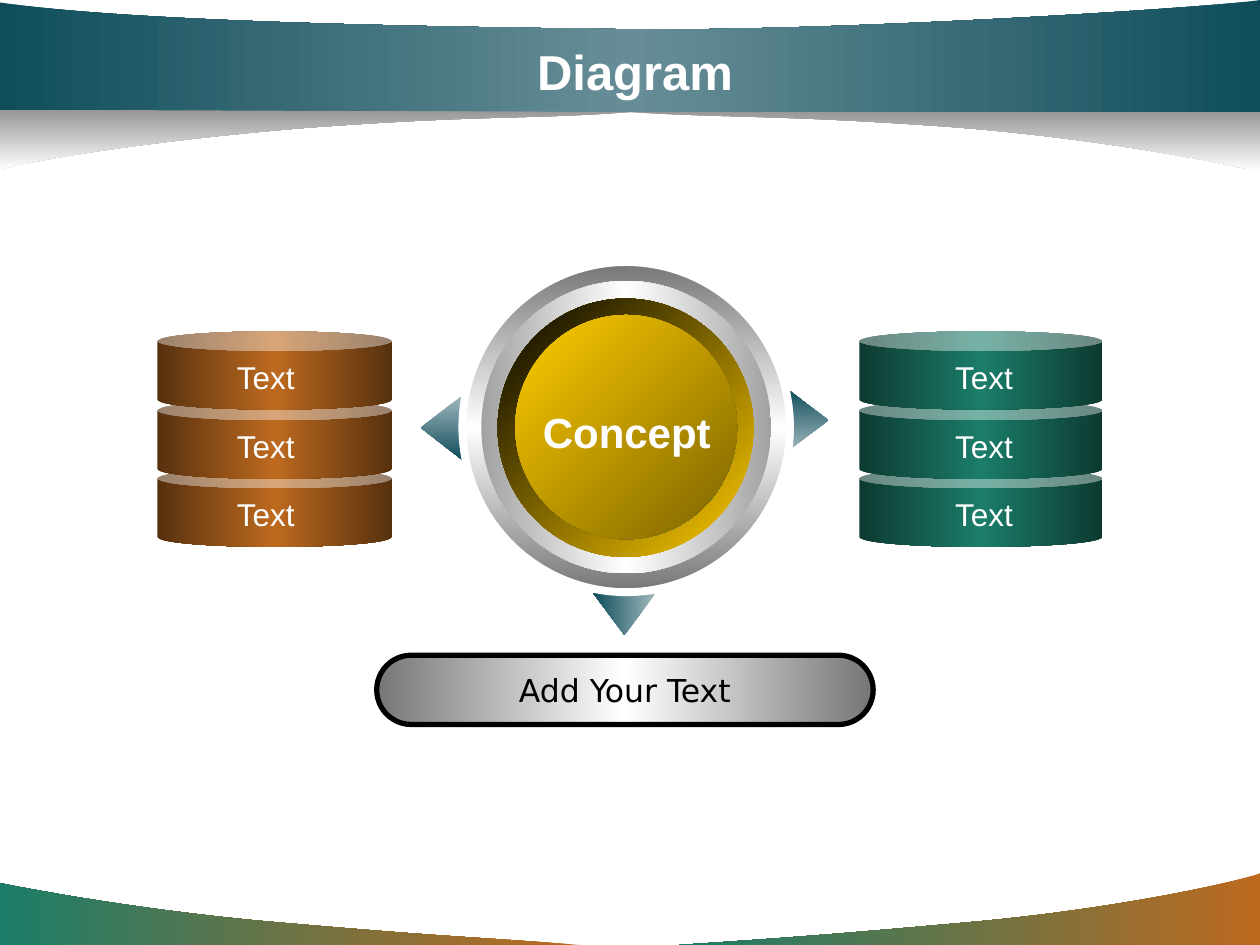
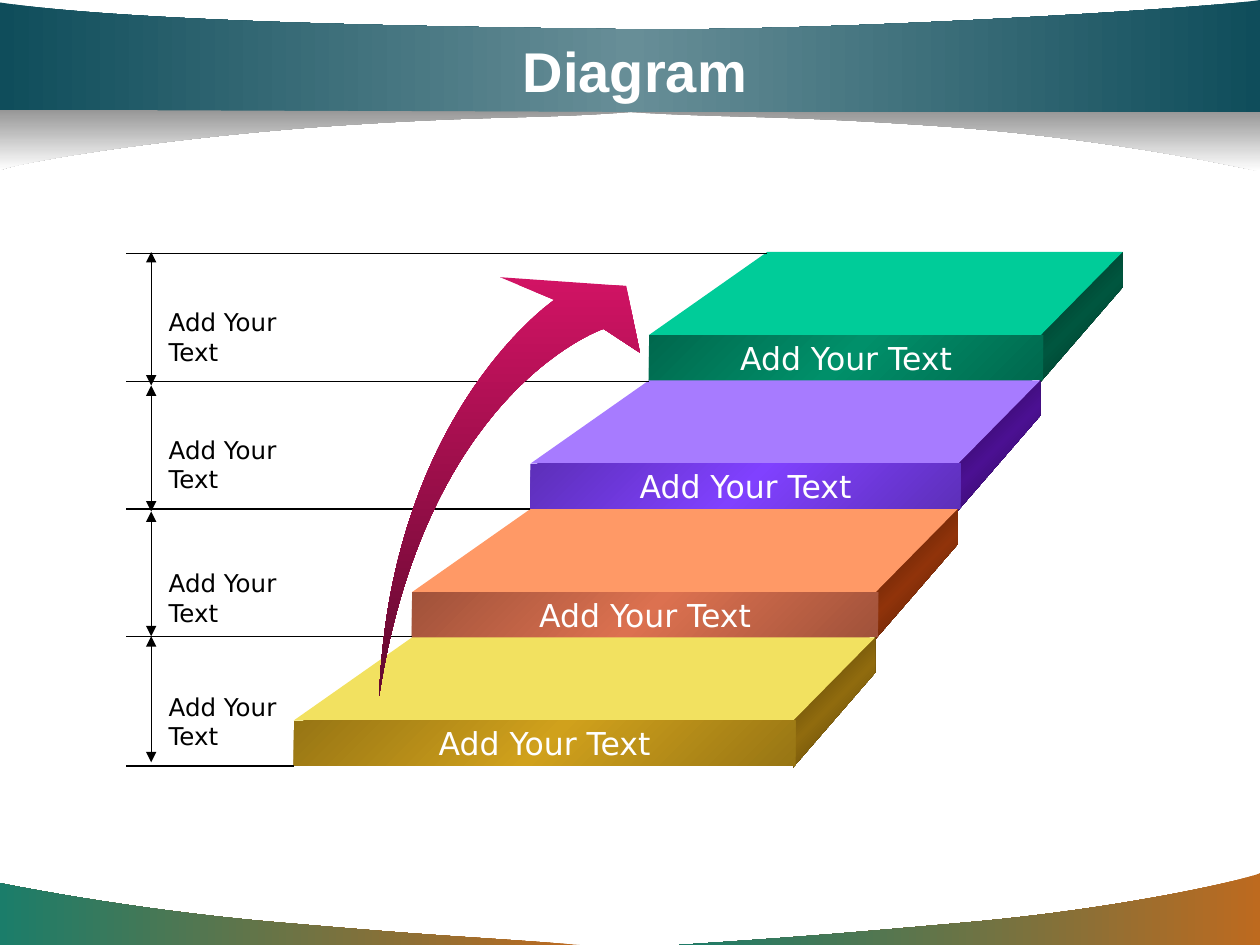
import copy
import itertools

import pptx
import pptx.dml.color
import pptx.enum.shapes
import pptx.enum.text
import pptx.oxml.ns
import pptx.util
from lxml import etree

Inches = pptx.util.Inches
qn = pptx.oxml.ns.qn
SHAPES = pptx.enum.shapes.MSO_SHAPE
ALIGN = pptx.enum.text.PP_ALIGN
ANCHOR = pptx.enum.text.MSO_ANCHOR

WHITE, BLACK = "FFFFFF", "000000"
HEADING_FONT, BODY_FONT = "Arial", "DejaVu Sans"
FOOTER = ("BD6A1F", "1B7D6A")
BAND = ("0F4D5B", "678E97", "0F4D5B")
BAND_SHADOW = ("969696", WHITE)
SILVER = ("767676", WHITE, "767676")
POINTER = ("A1B9BF", "0F4D5B")


def colour(value):
    return pptx.dml.color.RGBColor.from_string(value)


def paint(shape, colours, angle=0, outline=None, outline_width=0):
    shape.shadow.inherit = False
    if len(colours) == 1:
        shape.fill.solid()
        shape.fill.fore_color.rgb = colour(colours[0])
    else:
        shape.fill.gradient()
        shape.fill.gradient_angle = (360 - angle) % 360
        properties = shape._element.spPr
        properties.find(qn("a:gradFill")).set("rotWithShape", "0")
        stops = properties.find(".//" + qn("a:gsLst"))
        for _ in colours[2:]:
            stops.append(copy.deepcopy(stops[-1]))
        for index, stop in enumerate(shape.fill.gradient_stops):
            stop.color.rgb = colour(colours[index])
            stop.position = index / (len(colours) - 1)
    if outline:
        shape.line.color.rgb = colour(outline)
        shape.line.width = pptx.util.Pt(outline_width)
    else:
        shape.line.fill.background()


def add_preset(page, kind, place, colours, angle=0, adjustments=(), **outline):
    shape = page.shapes.add_shape(kind, *map(Inches, place))
    for index, value in enumerate(adjustments):
        shape.adjustments[index] = value
    paint(shape, colours, angle, **outline)
    return shape


def add_outline(page, start, segments, colours, angle=0):
    points = [(Inches(x), Inches(y)) for segment in segments for x, y in segment]
    builder = page.shapes.build_freeform(*map(Inches, start), scale=1.0)
    builder.add_line_segments(points, close=True)
    shape = builder.convert_to_shape()
    lines = iter(shape._element.findall(".//" + qn("a:lnTo")))
    for segment in segments:
        group = list(itertools.islice(lines, len(segment)))
        if len(segment) == 3:
            bend = etree.Element(qn("a:cubicBezTo"))
            group[0].addprevious(bend)
            for line in group:
                bend.append(line[0])
                line.getparent().remove(line)
    paint(shape, colours, angle)


def corners(*points):
    return [(point,) for point in points]


def write(shape, text, size, font=HEADING_FONT, ink=WHITE, bold=False,
          align=ALIGN.CENTER, anchor=ANCHOR.MIDDLE, wrap=False):
    frame = shape.text_frame
    frame.word_wrap = wrap
    frame.vertical_anchor = anchor
    para = frame.paragraphs[0]
    para.alignment = align
    span = para.add_run()
    span.text = text
    span.font.size = pptx.util.Pt(size)
    span.font.name = font
    span.font.bold = bold
    span.font.color.rgb = colour(ink)


def add_text(page, place, text, size, **style):
    box = page.shapes.add_textbox(*map(Inches, place))
    write(box, text, size, **style)


def add_line(page, start, end, arrows=False):
    line = page.shapes.add_connector(
        pptx.enum.shapes.MSO_CONNECTOR.STRAIGHT, *map(Inches, start + end))
    line.line.color.rgb = colour(BLACK)
    line.line.width = pptx.util.Pt(0.75)
    properties = line._element.spPr
    if arrows:
        for tag in ("a:headEnd", "a:tailEnd"):
            etree.SubElement(properties.find(qn("a:ln")), qn(tag), type="triangle")
    etree.SubElement(properties, qn("a:effectLst"))


def add_page(deck, title, title_size):
    page = deck.slides.add_slide(deck.slide_layouts[6])
    left_wave = [((3.84, 7.44), (3.58, 7.44), (2.32, 7.33)),
                 ((1.06, 7.23), (0.01, 7.01), (0, 7.01)), *corners((0, 7.5))]
    right_wave = [((6.14, 7.45), (6.46, 7.43), (7.69, 7.32)),
                  ((8.92, 7.21), (9.9, 6.98), (10, 6.93)), *corners((10, 7.5))]
    right_shadow = [((5.84, 0.94), (6.2, 0.91), (7.58, 1.01)),
                    ((8.97, 1.12), (9.98, 1.36), (10, 1.36)), *corners((10, 0.88))]
    band = [*corners((10, 0.89), (10, 0)), ((9.64, 0.06), (6.53, 0.26), (4.87, 0.23)),
            ((3.21, 0.21), (1.01, 0.17), (0, 0.02))]
    left_shadow = [((4.16, 0.95), (3.88, 0.91), (2.49, 1.01)),
                   ((1.1, 1.12), (0.11, 1.3), (0, 1.35)), *corners((0, 0.87))]
    add_outline(page, (4.6, 7.5), left_wave, FOOTER, 180)
    add_outline(page, (5.39, 7.5), right_wave, FOOTER, 180)
    add_outline(page, (5, 0.89), right_shadow, BAND_SHADOW, 90)
    add_outline(page, (0, 0.89), band, BAND, 180)
    add_outline(page, (5, 0.89), left_shadow, BAND_SHADOW, 90)
    add_text(page, (0.75, 0.25, 8.58, 0.62), title, title_size, bold=True, wrap=True)
    return page


def add_pointer(page, place, rotation, angle):
    pointer = add_preset(page, SHAPES.UP_ARROW, place, POINTER, angle, (0.517, 1))
    pointer.rotation = rotation
    pointer._element.spPr.find(qn("a:xfrm")).set("flipH", "1")


def add_can_stack(page, left, width, text_left, colours):
    tops = (2.63, 3.18, 3.72)
    for top in reversed(tops):
        add_preset(page, SHAPES.CAN, (left, top, width, 0.62), colours, 180, (0.25,))
    for top in tops:
        add_text(page, (text_left, top + 0.16, 0.68, 0.4), "Text", 18, anchor=ANCHOR.TOP)


def add_concept_page(deck):
    page = add_page(deck, "Diagram", 28)
    add_pointer(page, (3.25, 3.23, 0.51, 0.33), 270, 90)
    add_pointer(page, (6.16, 3.17, 0.5, 0.33), 90, 270)
    add_pointer(page, (4.71, 4.71, 0.49, 0.33), 180, 0)
    add_preset(page, SHAPES.OVAL, (3.67, 2.08, 2.6, 2.62), SILVER, 90,
               outline=WHITE, outline_width=4.5)
    rim, core = (3.95, 2.37, 2.03, 2.05), (4.09, 2.5, 1.76, 1.78)
    rings = [
        ((3.82, 2.23, 2.3, 2.32), ("A2A2A2", WHITE, "A2A2A2"), 180),
        (rim, (WHITE, "3790D3", WHITE), 225),
        (rim, ("FFCC00", BLACK), 225),
        (core, ("1E4E72", "3790D3", "1E4E72"), 135),
        (core, ("7C6300", "FFCC00"), 225),
    ]
    for place, colours, angle in rings:
        add_preset(page, SHAPES.OVAL, place, colours, angle)
    add_can_stack(page, 1.25, 1.86, 1.77, ("57310E", "BD6A1F", "57310E"))
    add_can_stack(page, 6.82, 1.93, 7.47, ("0D3A31", "1B7D6A", "0D3A31"))
    add_text(page, (4.21, 3.18, 1.53, 0.5), "Concept", 24, bold=True, anchor=ANCHOR.TOP)
    pill = add_preset(page, SHAPES.ROUNDED_RECTANGLE, (2.99, 5.2, 3.94, 0.55), SILVER,
                      180, (0.5,), outline=BLACK, outline_width=3)
    write(pill, "Add Your Text", 18, font=BODY_FONT, ink=BLACK)


def add_step(page, level, top_colour, front_colours, side_colours):
    top = 2 + 1.02 * level
    edge = top + 0.66
    left = 5.15 - 0.94 * level
    right = 8.26 - 0.655 * level
    back = right + 0.65
    add_outline(page, (back, top + 0.28),
                corners((right, top + 1.03), (right, edge), (back, top)),
                side_colours, 225)
    add_outline(page, (right, edge),
                corners((left, edge), (left + 0.94, top), (back, top)), (top_colour,))
    front = add_preset(page, SHAPES.RECTANGLE, (left, edge, right + 0.02 - left, 0.36),
                       front_colours, 225)
    write(front, "Add Your Text", 18, font=BODY_FONT)


def add_steps_page(deck):
    page = add_page(deck, "Diagram", 32)
    steps = [
        ("00CC99", ("00684D", "00906A", "00684D"), ("00281D", "00563F", "00281D")),
        ("A77BFF", ("5D2FB9", "8041FF", "5D2FB9"), ("230744", "4B1092", "230744")),
        ("FF9966", ("A0523A", "DC7150", "A0523A"), ("431805", "90330A", "431805")),
        ("F2E160", ("977514", "D0A11C", "977514"), ("433206", "906B0E", "433206")),
    ]
    for level, colours in enumerate(steps):
        add_step(page, level, *colours)
    for level, height in enumerate((2.01, 3.03, 4.04, 5.05, 6.08)):
        add_line(page, (6.09 - 0.94 * level, height), (1, height))
    for start, end in itertools.pairwise((2, 3.06, 4.06, 5.05, 6.05)):
        add_line(page, (1.2, start), (1.2, end), arrows=True)
    tail, outer_end, inner_end = (3.01, 5.52), (4.4, 2.38), (4.79, 2.61)
    sweep = [((3.1, 3.27), outer_end, outer_end),
             *corners((3.97, 2.2), (4.97, 2.27), (5.08, 2.8), inner_end),
             (inner_end, (3.39, 3.08), tail)]
    add_outline(page, tail, sweep, ("D11364", "61092E"), 90)
    for top in (2.39, 3.4, 4.46, 5.44):
        add_text(page, (1.24, top, 1.48, 0.34), "Add Your Text", 14, font=BODY_FONT,
                 ink=BLACK, align=ALIGN.LEFT, anchor=ANCHOR.TOP, wrap=True)


def main():
    deck = pptx.Presentation()
    deck.slide_width = Inches(10)
    deck.slide_height = Inches(7.5)
    add_concept_page(deck)
    add_steps_page(deck)
    deck.save("out.pptx")


if __name__ == "__main__":
    main()
